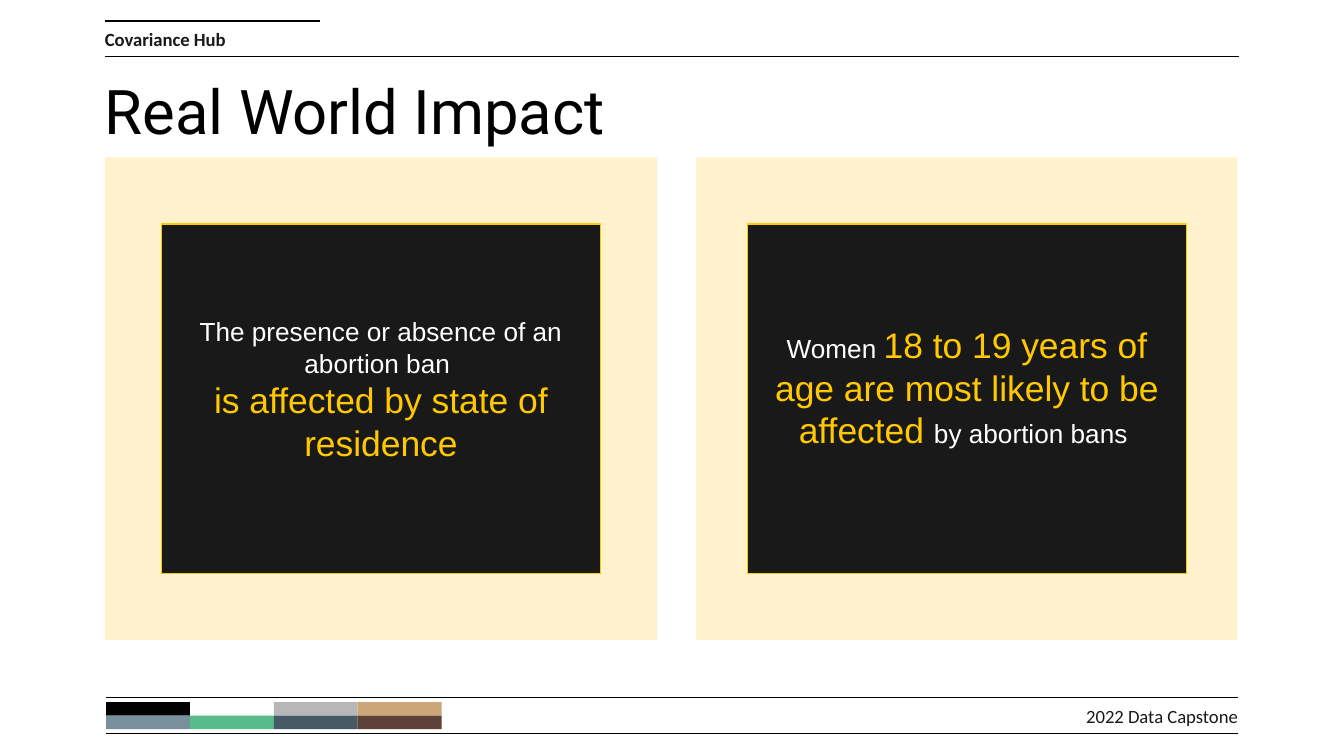
from typing import NamedTuple

from lxml.etree import SubElement
from pptx import Presentation
from pptx.dml.color import RGBColor
from pptx.enum.shapes import MSO_CONNECTOR, MSO_SHAPE
from pptx.enum.text import MSO_ANCHOR as Anchor, MSO_AUTO_SIZE, PP_ALIGN as Align
from pptx.oxml.ns import qn
from pptx.util import Inches, Pt

BLACK = RGBColor(0x00, 0x00, 0x00)
INK = RGBColor(0x19, 0x19, 0x19)
WHITE = RGBColor(0xFF, 0xFF, 0xFF)
GOLD = RGBColor(0xFF, 0xC8, 0x00)
CREAM = RGBColor(0xFF, 0xF2, 0xCC)
SWATCHES = [
    [BLACK, WHITE, RGBColor(0xB7, 0xB7, 0xB7), RGBColor(0xCC, 0xA6, 0x77)],
    [RGBColor(0x78, 0x90, 0x9C), RGBColor(0x57, 0xBB, 0x8A),
     RGBColor(0x45, 0x5A, 0x64), RGBColor(0x5D, 0x40, 0x37)],
]
SLIDE_W = Inches(10)
SLIDE_H = SLIDE_W * 9 // 16


class Area(NamedTuple):
    """A rectangle in percent of the slide's width and height."""
    left: float
    top: float
    width: float
    height: float

    def emu(self):
        return (across(self.left), down(self.top),
                across(self.width), down(self.height))


class Run(NamedTuple):
    text: str
    size: float
    color: RGBColor


class Rule(NamedTuple):
    """A horizontal line, in percent of the slide."""
    start: float
    end: float
    top: float


class Finding(NamedTuple):
    panel: Area
    card: Area
    bottom_inset: float
    paragraphs: list


def across(share: float) -> int:
    return round(SLIDE_W * share / 100)


def down(share: float) -> int:
    return round(SLIDE_H * share / 100)


def write(shape, paragraphs, *, font="Arial", bold=False, align=Align.LEFT,
          anchor=Anchor.MIDDLE, inset=0.0, bottom=0.0):
    """Fill a shape with paragraphs, each a list of runs; insets in inches."""
    frame = shape.text_frame
    frame.word_wrap = True
    frame.auto_size = MSO_AUTO_SIZE.NONE
    frame.vertical_anchor = anchor
    frame.margin_left = frame.margin_right = frame.margin_top = Inches(inset)
    frame.margin_bottom = Inches(bottom)
    for index, runs in enumerate(paragraphs):
        paragraph = frame.add_paragraph() if index else frame.paragraphs[0]
        paragraph.alignment = align
        paragraph.line_spacing = 1.0
        paragraph.space_before = Pt(0)
        for part in runs:
            run = paragraph.add_run()
            run.text = part.text
            run.font.name = font
            run.font.size = Pt(part.size)
            run.font.bold = bold
            run.font.color.rgb = part.color


def add_block(slide, area: Area, fill: RGBColor, outline=None):
    block = slide.shapes.add_shape(MSO_SHAPE.RECTANGLE, *area.emu())
    block.shadow.inherit = False
    block.fill.solid()
    block.fill.fore_color.rgb = fill
    if outline is None:
        block.line.fill.background()
    else:
        block.line.color.rgb = outline
        block.line.width = Pt(0.75)
    return block


def add_rule(slide, rule: Rule) -> None:
    y = down(rule.top)
    line = slide.shapes.add_connector(
        MSO_CONNECTOR.STRAIGHT, across(rule.start), y, across(rule.end), y)
    line.line.color.rgb = BLACK
    line.line.width = Pt(0.75)
    SubElement(line.element.spPr, qn("a:effectLst"))


def add_swatches(slide, first: Area) -> None:
    for row, colors in enumerate(SWATCHES):
        for column, color in enumerate(colors):
            add_block(slide, first._replace(
                left=first.left + column * first.width,
                top=first.top + row * first.height), color)


def add_label(slide, area: Area, text: str, **style) -> None:
    label = slide.shapes.add_textbox(*area.emu())
    write(label, [[Run(text, 10, INK)]], font="Calibri", **style)


def add_finding(slide, finding: Finding) -> None:
    add_block(slide, finding.panel, CREAM)
    card = add_block(slide, finding.card, INK, GOLD)
    write(card, finding.paragraphs, align=Align.CENTER,
          inset=0.1, bottom=finding.bottom_inset)


RULES = [Rule(7.8, 92.2, 7.47), Rule(7.8, 23.8, 2.8),
         Rule(7.9, 92.1, 97.07), Rule(7.9, 92.1, 92.27)]
PANEL_TOP, PANEL_H = 20.83, 63.82
CARD_TOP, CARD_W, CARD_H = 29.66, 32.7, 46.22
FINDINGS = [
    Finding(Area(51.8, PANEL_TOP, 40.25, PANEL_H),
            Area(55.6, CARD_TOP, CARD_W, CARD_H), 0.28,
            [[Run("Women ", 14, WHITE),
              Run("18 to 19 years of age are most likely to be affected ",
                  19, GOLD),
              Run("by abortion bans ", 14, WHITE)]]),
    Finding(Area(7.8, PANEL_TOP, 41.1, PANEL_H),
            Area(12, CARD_TOP, CARD_W, CARD_H), 0.24,
            [[Run("The presence or absence of an abortion ban ", 14, WHITE)],
             [Run("is affected by state of residence", 19, GOLD)]]),
]


def main() -> None:
    deck = Presentation()
    deck.slide_width, deck.slide_height = SLIDE_W, SLIDE_H
    slide = deck.slides.add_slide(deck.slide_layouts[5])

    for rule in RULES:
        add_rule(slide, rule)
    add_swatches(slide, Area(7.9, 92.9, 6.24, 1.78))
    add_label(slide, Area(7.8, 4.27, 26.2, 1.78), "Covariance Hub", bold=True)

    title = slide.shapes.title
    title.left, title.top, title.width, title.height = Area(
        7.8, 9.6, 84.3, 8.89).emu()
    write(title, [[Run("Real World Impact", 33, BLACK)]],
          font="Roboto", anchor=Anchor.TOP)

    for finding in FINDINGS:
        add_finding(slide, finding)
    add_label(slide, Area(76.1, 93.87, 16, 1.78), "2022 Data Capstone",
              align=Align.RIGHT)
    deck.save("out.pptx")


if __name__ == "__main__":
    main()
